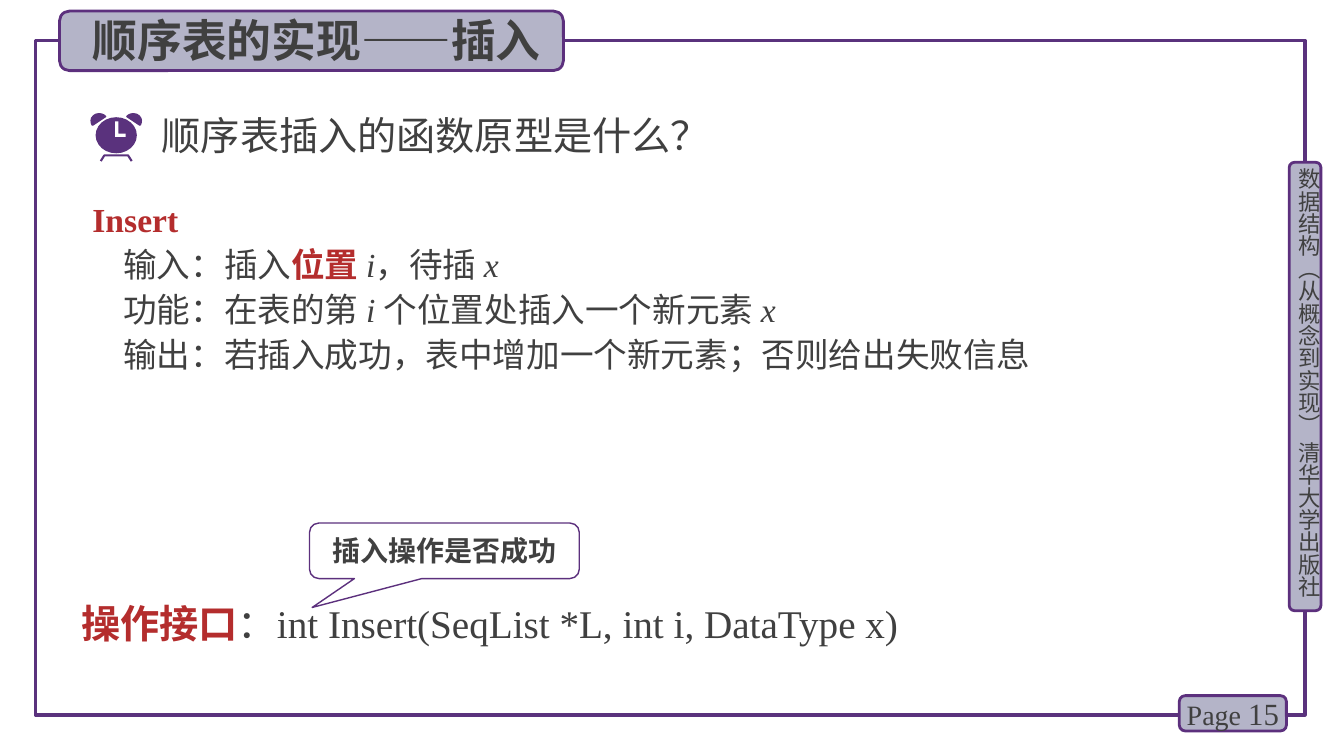
from pptx import Presentation
from pptx.dml.color import RGBColor
from pptx.enum.shapes import MSO_SHAPE
from pptx.enum.text import MSO_ANCHOR, MSO_AUTO_SIZE, PP_ALIGN
from pptx.oxml.ns import qn
from pptx.util import Cm, Pt
from lxml import etree

RECT = MSO_SHAPE.RECTANGLE
ROUNDED = MSO_SHAPE.ROUNDED_RECTANGLE
CALLOUT = MSO_SHAPE.ROUNDED_RECTANGULAR_CALLOUT
OVAL = MSO_SHAPE.OVAL
MIDDLE = MSO_ANCHOR.MIDDLE
NO_FIT = MSO_AUTO_SIZE.NONE
LEFT, CENTER, JUSTIFY = PP_ALIGN.LEFT, PP_ALIGN.CENTER, PP_ALIGN.JUSTIFY

SANS, SERIF, CALLOUT_FONT = "Noto Sans CJK SC", "Times New Roman", "Calibri"
PURPLE, BORDER, PANEL = "5A327D", "5C307D", "B4B4C8"
INK, RED, WHITE = "404040", "B42D2D", "FFFFFF"


def rgb(value):
    return RGBColor.from_string(value)


def paint(shape, fill=None, line=None, width=1):
    shape.shadow.inherit = False
    if fill:
        shape.fill.solid()
        shape.fill.fore_color.rgb = rgb(fill)
    else:
        shape.fill.background()
    if line:
        shape.line.color.rgb = rgb(line)
        shape.line.width = Pt(width)
    else:
        shape.line.fill.background()


def add_panel(slide, kind, box, fill=None, line=None, width=1):
    panel = slide.shapes.add_shape(kind, *map(Cm, box))
    paint(panel, fill, line, width)
    return panel


def add_run(paragraph, text, size, font=SANS, color=INK, bold=False, italic=False):
    """Add a run whose Chinese characters always use the sans font."""
    run = paragraph.add_run()
    run.text = text
    run.font.name = font
    run.font.size = Pt(size)
    run.font.bold = bold
    run.font.italic = italic
    run.font.color.rgb = rgb(color)
    east_asian = etree.Element(qn("a:ea"), typeface=SANS)
    run.font._element.find(qn("a:latin")).addnext(east_asian)


def prepare_frame(shape, align=LEFT):
    frame = shape.text_frame
    frame.word_wrap = True
    frame.auto_size = NO_FIT
    frame.vertical_anchor = MIDDLE
    frame.paragraphs[0].alignment = align
    return frame


def clear_margins(frame):
    frame.margin_left = frame.margin_right = frame.margin_top = frame.margin_bottom = 0


def add_text(slide, box, align=LEFT):
    return prepare_frame(slide.shapes.add_textbox(*map(Cm, box)), align)


def draw_side_label(slide, left, top, width, height):
    add_panel(slide, ROUNDED, (left, top, width, height), PANEL, BORDER, 2)
    label = add_text(slide, (left + 0.15, top + 0.15, width - 0.1, height + 0.1))
    clear_margins(label)
    label._txBody.bodyPr.set("vert", "eaVert")
    add_run(label.paragraphs[0], "数据结构（从概念到实现） 清华大学出版社", 16)


def draw_page_badge(slide, left, top, width, height):
    badge = add_panel(slide, ROUNDED, (left, top, width, height), PANEL, BORDER, 2)
    frame = prepare_frame(badge, CENTER)
    clear_margins(frame)
    add_run(frame.paragraphs[0], "Page ", 20, SERIF)
    add_run(frame.paragraphs[0], "15", 22, SERIF)


def draw_title(slide, left, top, width, height):
    add_panel(slide, ROUNDED, (left, top, width, height), PANEL, BORDER, 2)
    title = slide.shapes.title
    title.left, title.top = Cm(left + 0.35), Cm(top - 0.1)
    title.width, title.height = Cm(width - 0.43), Cm(height + 0.13)
    slide.shapes._spTree.append(title.element)  # bring above the title bar
    frame = prepare_frame(title, CENTER)
    add_run(frame.paragraphs[0], "顺序表的实现——插入", 32, bold=True)


def draw_alarm_clock(slide, left, top, width):
    """Draw the clock on a grid that is 50 units wide."""
    unit = width / 50

    def outline(points, closed=True):
        start, *rest = [(Cm(left + x * unit), Cm(top + y * unit)) for x, y in points]
        builder = slide.shapes.build_freeform(*start)
        builder.add_line_segments(rest, close=closed)
        return builder.convert_to_shape()

    bell = [(8, 0), (5, 0.6), (2.4, 2.2), (0.6, 4.6), (0, 7), (0.2, 9.5), (1, 11.8),
            (2, 12.3), (3, 12), (15, 4), (15.4, 3), (13.5, 1.4), (11, 0.3)]
    paint(outline(bell), PURPLE)
    paint(outline([(50 - x, y) for x, y in bell]), PURPLE)
    face = (left + 5 * unit, top + 4 * unit, 40 * unit, 35 * unit)
    add_panel(slide, OVAL, face, PURPLE)
    hands = [(24, 8), (27, 8), (27, 20), (34, 20), (34, 23), (24, 23)]
    paint(outline(hands), WHITE)
    legs = [(10, 46.5), (13.5, 41), (36.5, 41), (40, 46.5)]
    paint(outline(legs, closed=False), None, PURPLE, 1.5)


def draw_question(slide, left, top, width, height):
    draw_alarm_clock(slide, left, top + 0.18, 1.3)
    question = add_text(slide, (left + 1.55, top, width - 1.55, height))
    add_run(question.paragraphs[0], "顺序表插入的函数原型是什么？", 28)


def draw_specification(slide, box):
    italic, key = {"italic": True}, {"color": RED, "bold": True}
    lines = [
        [("输入：插入", {}), ("位置 ", key), ("i", italic), ("，待插 ", {}), ("x", italic)],
        [("功能：在表的第 ", {}), ("i ", italic), ("个位置处插入一个新元素 ", {}), ("x", italic)],
        [("输出：若插入成功，表中增加一个新元素；否则给出失败信息", {})],
    ]
    frame = add_text(slide, box)
    heading = frame.paragraphs[0]
    heading.line_spacing = Pt(32)
    add_run(heading, "Insert", 24, SERIF, **key)
    for line in lines:
        paragraph = frame.add_paragraph()
        paragraph.alignment = JUSTIFY
        paragraph.line_spacing = Pt(32)
        paragraph._p.get_or_add_pPr().set("marL", str(Cm(0.78)))
        for text, style in line:
            add_run(paragraph, text, 24, SERIF, **style)


def draw_interface(slide, left, top, width, height):
    signature = add_text(slide, (left, top, width, height)).paragraphs[0]
    add_run(signature, "操作接口", 28, color=RED, bold=True)
    add_run(signature, "：int Insert(SeqList *L, int i, DataType x)", 28, SERIF)
    callout = add_panel(slide, CALLOUT, (left + 6, top - 1.78, 6.8, 1.4), line=BORDER)
    for index, value in enumerate((-0.49, 1.02, 0.17)):
        callout.adjustments[index] = value
    note = prepare_frame(callout, CENTER).paragraphs[0]
    add_run(note, "插入操作是否成功", 20, CALLOUT_FONT, bold=True)


def main():
    deck = Presentation()
    deck.slide_width, deck.slide_height = Cm(33.87), Cm(19.05)
    slide = deck.slides.add_slide(deck.slide_layouts[5])
    add_panel(slide, RECT, (0.89, 1.02, 32, 17), line=PURPLE, width=2.25)
    draw_side_label(slide, 32.49, 4.09, 0.8, 11.3)
    draw_page_badge(slide, 29.72, 17.53, 2.7, 0.89)
    draw_title(slide, 1.5, 0.28, 12.7, 1.5)
    draw_question(slide, 2.28, 2.67, 16.75, 1.45)
    draw_specification(slide, (2.08, 4.75, 26.1, 4.83))
    draw_interface(slide, 1.8, 14.96, 24.3, 1.45)
    deck.save("out.pptx")


if __name__ == "__main__":
    main()
